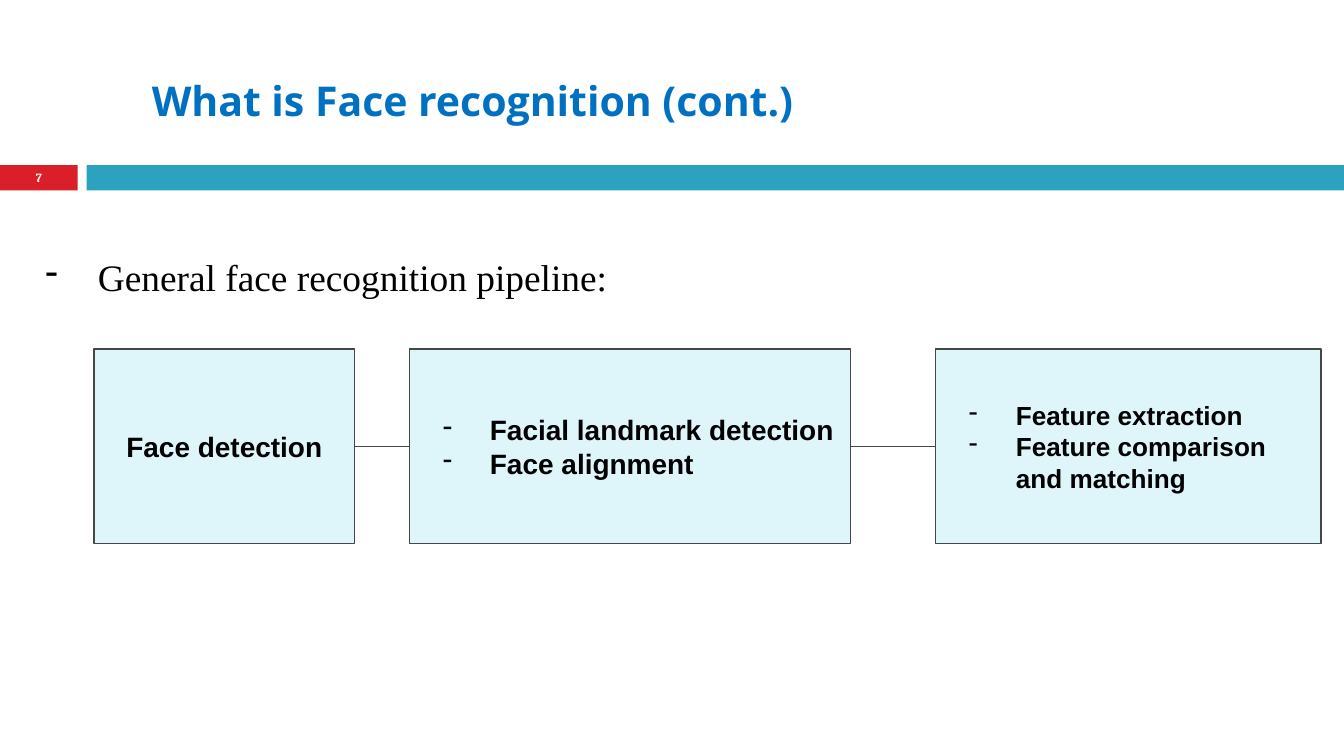
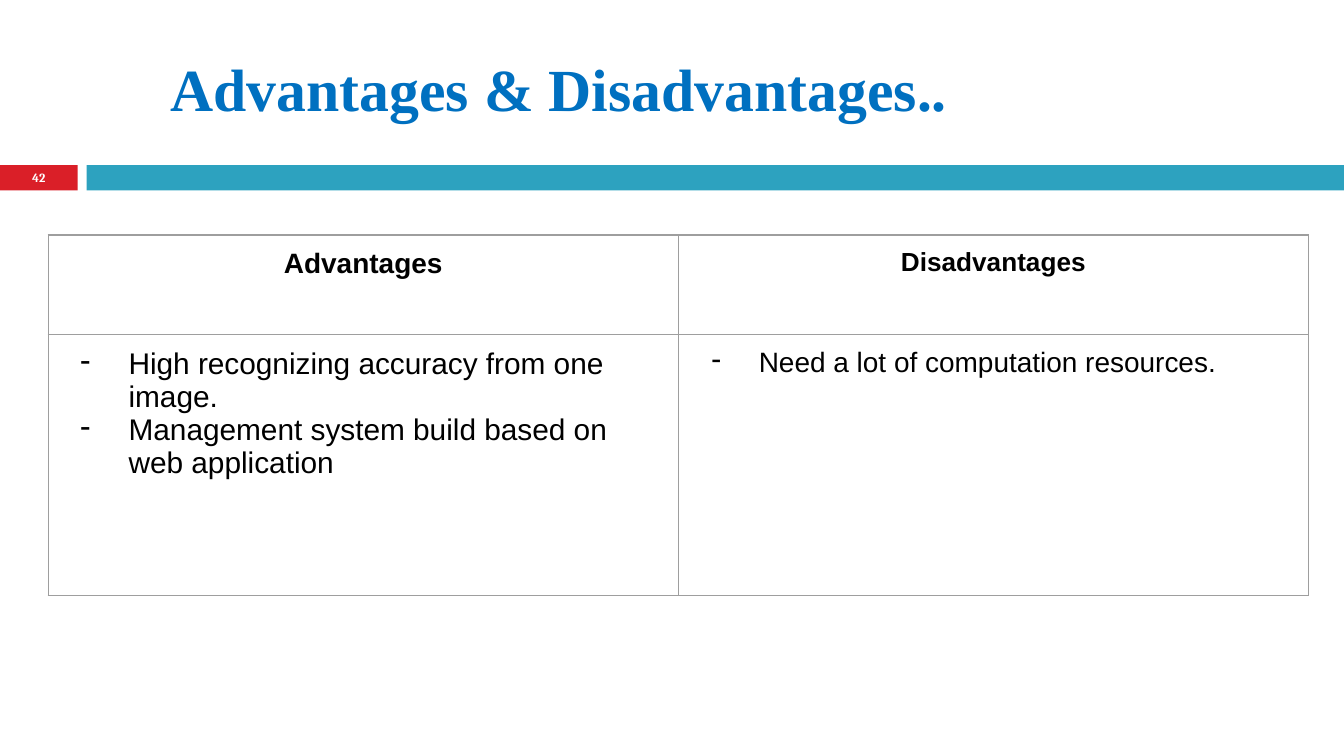
from collections.abc import Sequence
from dataclasses import dataclass, field
from itertools import pairwise
from typing import Any

import lxml.etree
import pptx
import pptx.dml.color
import pptx.enum.shapes
import pptx.enum.text
import pptx.oxml.ns
import pptx.presentation
import pptx.shapes.autoshape
import pptx.shapes.connector
import pptx.slide
import pptx.table
import pptx.text.text
import pptx.util

Cm = pptx.util.Cm
Pt = pptx.util.Pt
RGB = pptx.dml.color.RGBColor
Align = pptx.enum.text.PP_ALIGN
Anchor = pptx.enum.text.MSO_ANCHOR
AutoSize = pptx.enum.text.MSO_AUTO_SIZE
qn = pptx.oxml.ns.qn


@dataclass(frozen=True)
class Theme:
    red: RGB = RGB(0xDA, 0x1F, 0x28)
    teal: RGB = RGB(0x2D, 0xA2, 0xBF)
    blue: RGB = RGB(0x00, 0x70, 0xC0)
    pale: RGB = RGB(0xDE, 0xF5, 0xFA)
    outline: RGB = RGB(0x46, 0x46, 0x46)
    grid: RGB = RGB(0x9E, 0x9E, 0x9E)
    ink: RGB = RGB(0, 0, 0)
    white: RGB = RGB(0xFF, 0xFF, 0xFF)
    sans: str = "Arial"
    serif: str = "Times New Roman"
    heading: str = "Open Sans"
    numeral: str = "Cambria"
    number_size: float = 6.7
    small: float = 14
    medium: float = 15
    large: float = 16
    lead: float = 20
    title: float = 22
    big_title: float = 32
    rule: float = 0.75


THEME = Theme()
TIGHT = {"margin_left": Cm(0.25), "margin_right": Cm(0.25),
         "margin_top": Cm(0.13), "margin_bottom": Cm(0.13)}
ROOMY = TIGHT | {"margin_top": Cm(0.25), "margin_bottom": Cm(0.25)}
INDENT = 1.27


@dataclass(frozen=True)
class Box:
    """Position and size in centimetres."""
    left: float
    top: float
    width: float
    height: float

    def lengths(self) -> list[pptx.util.Length]:
        return [Cm(v) for v in (self.left, self.top, self.width, self.height)]


@dataclass(frozen=True)
class Line:
    """One paragraph; hang is the width of its dash column in centimetres."""
    text: str
    size: float
    bold: bool = False
    font: str = THEME.sans
    color: RGB = THEME.ink
    align: Align = Align.LEFT
    hang: float = 0
    spacing: dict[str, Any] = field(default_factory=dict)


@dataclass(frozen=True)
class Stage:
    left: float
    width: float
    lines: tuple[Line, ...]


RED_BAND = Box(0, 3.12, 1.47, 0.48)
TEAL_BAND = Box(1.64, 3.12, 23.76, 0.48)
NUMBER_BOX = Box(0, 3.12, 1.47, 0.51)


def apply(target: Any, values: dict[str, Any]) -> None:
    for name, value in values.items():
        setattr(target, name, value)


def add_dash(paragraph: pptx.text.text._Paragraph, hang: float) -> None:
    props = paragraph._p.get_or_add_pPr()
    props.set("marL", str(Cm(INDENT)))
    props.set("indent", str(-Cm(hang)))
    tint = lxml.etree.SubElement(props, qn("a:buClr"))
    lxml.etree.SubElement(tint, qn("a:srgbClr"), val=str(THEME.ink))
    lxml.etree.SubElement(props, qn("a:buChar"), char="-")


def write(frame: pptx.text.text.TextFrame, lines: Sequence[Line]) -> None:
    for index, line in enumerate(lines):
        paragraph = frame.add_paragraph() if index else frame.paragraphs[0]
        apply(paragraph, {"alignment": line.align} | line.spacing)
        if line.hang:
            add_dash(paragraph, line.hang)
        run = paragraph.add_run()
        run.text = line.text
        apply(run.font, {"name": line.font, "size": Pt(line.size), "bold": line.bold})
        run.font.color.rgb = line.color


def add_rectangle(slide: pptx.slide.Slide, box: Box, fill: RGB,
                  outline: RGB | None = None) -> pptx.shapes.autoshape.Shape:
    rectangle = slide.shapes.add_shape(
        pptx.enum.shapes.MSO_SHAPE.RECTANGLE, *box.lengths())
    rectangle.shadow.inherit = False
    rectangle.fill.solid()
    rectangle.fill.fore_color.rgb = fill
    if outline is None:
        rectangle.line.fill.background()
    else:
        rectangle.line.color.rgb = outline
        rectangle.line.width = Pt(THEME.rule)
    return rectangle


def add_text(slide: pptx.slide.Slide, box: Box, line: Line, layout: dict[str, Any]) -> None:
    frame = slide.shapes.add_textbox(*box.lengths()).text_frame
    apply(frame, {"word_wrap": True} | layout)
    write(frame, [line])


def start_slide(deck: pptx.presentation.Presentation, number: str, number_spacing: float,
                title: Line, title_box: Box, anchor: Anchor) -> pptx.slide.Slide:
    """Add a slide with its bands, page number and title."""
    slide = deck.slides.add_slide(deck.slide_layouts.get_by_name("Title Only"))
    add_rectangle(slide, RED_BAND, THEME.red)
    add_rectangle(slide, TEAL_BAND, THEME.teal)
    add_text(slide, NUMBER_BOX,
             Line(number, THEME.number_size, True, THEME.numeral, THEME.white,
                  Align.CENTER, spacing={"line_spacing": number_spacing}),
             TIGHT | {"vertical_anchor": Anchor.MIDDLE})
    heading = slide.shapes.title
    apply(heading, dict(zip(("left", "top", "width", "height"), title_box.lengths())))
    apply(heading.text_frame, TIGHT | {"vertical_anchor": anchor, "word_wrap": True,
                                       "auto_size": AutoSize.NONE})
    write(heading.text_frame, [title])
    return slide


def add_stage(slide: pptx.slide.Slide, stage: Stage) -> pptx.shapes.autoshape.Shape:
    rectangle = add_rectangle(slide, Box(stage.left, 6.6, stage.width, 3.68),
                              THEME.pale, THEME.outline)
    apply(rectangle.text_frame, ROOMY | {"vertical_anchor": Anchor.MIDDLE, "word_wrap": True})
    write(rectangle.text_frame, stage.lines)
    return rectangle


def join(slide: pptx.slide.Slide, before: pptx.shapes.autoshape.Shape,
         after: pptx.shapes.autoshape.Shape) -> None:
    link = slide.shapes.add_connector(pptx.enum.shapes.MSO_CONNECTOR.STRAIGHT, 0, 0, 0, 0)
    link.begin_connect(before, 3)
    link.end_connect(after, 1)
    link.line.color.rgb = THEME.outline
    link.line.width = Pt(THEME.rule)
    lxml.etree.SubElement(link._element.spPr, qn("a:effectLst"))


def add_borders(cell: pptx.table._Cell) -> None:
    props = cell._tc.get_or_add_tcPr()
    for index, side in enumerate(("lnL", "lnR", "lnT", "lnB")):
        edge = lxml.etree.SubElement(props, qn(f"a:{side}"), w=str(Pt(THEME.rule)))
        fill = lxml.etree.SubElement(edge, qn("a:solidFill"))
        lxml.etree.SubElement(fill, qn("a:srgbClr"), val=str(THEME.grid))
        props.insert(index, edge)


def add_comparison(slide: pptx.slide.Slide, box: Box, row_heights: Sequence[float],
                   rows: Sequence[Sequence[Sequence[Line]]]) -> None:
    table = slide.shapes.add_table(len(rows), len(rows[0]), *box.lengths()).table
    apply(table, {"first_row": False, "horz_banding": False})
    for row, height, contents in zip(table.rows, row_heights, rows):
        row.height = Cm(height)
        for cell, lines in zip(row.cells, contents):
            apply(cell, ROOMY | {"vertical_anchor": Anchor.TOP})
            cell.fill.background()
            add_borders(cell)
            write(cell.text_frame, lines)


def build_pipeline(deck: pptx.presentation.Presentation) -> None:
    title = Line("What is Face recognition (cont.)", THEME.title, True, THEME.heading,
                 THEME.blue, Align.CENTER,
                 spacing={"line_spacing": 1.5, "space_before": Pt(12), "space_after": Pt(6)})
    slide = start_slide(deck, "7", 0.9, title, Box(1.63, 0.84, 14.6, 1.7), Anchor.TOP)
    add_text(slide, Box(0.33, 4.14, 24.71, 1.37),
             Line("General face recognition pipeline:", THEME.lead, font=THEME.serif,
                  align=Align.JUSTIFY, hang=0.99,
                  spacing={"line_spacing": 1.5, "space_before": Pt(12)}),
             ROOMY | {"auto_size": AutoSize.SHAPE_TO_FIT_TEXT})
    stages = (
        Stage(1.78, 4.92, (
            Line("Face detection", THEME.medium, True, align=Align.CENTER),)),
        Stage(7.74, 8.33, (
            Line("Facial landmark detection", THEME.medium, True, hang=0.89),
            Line("Face alignment", THEME.medium, True, hang=0.89))),
        Stage(17.68, 7.29, (
            Line("Feature extraction", THEME.small, True, hang=0.89),
            Line("Feature comparison and matching", THEME.small, True, hang=0.89))),
    )
    rectangles = [add_stage(slide, stage) for stage in stages]
    for before, after in pairwise(rectangles):
        join(slide, before, after)


def build_comparison(deck: pptx.presentation.Presentation) -> None:
    title = Line("Advantages & Disadvantages..", THEME.big_title, True, THEME.serif, THEME.blue)
    slide = start_slide(deck, "42", 0.8, title, Box(2.97, 0.76, 16.51, 1.7), Anchor.BOTTOM)
    rows = (
        ((Line("Advantages", THEME.medium, True, align=Align.CENTER),),
         (Line("Disadvantages", THEME.small, True, align=Align.CENTER),)),
        ((Line("High recognizing accuracy from one image.", THEME.large, hang=0.91),
          Line("Management system build based on web application", THEME.large, hang=0.91)),
         (Line("Need a lot of computation resources.", THEME.medium, hang=0.89),)),
    )
    add_comparison(slide, Box(0.91, 4.44, 23.82, 6.81), (1.88, 4.93), rows)


def main() -> None:
    deck = pptx.Presentation()
    apply(deck, {"slide_width": Cm(25.4), "slide_height": Cm(14.29)})
    build_pipeline(deck)
    build_comparison(deck)
    deck.save("out.pptx")


if __name__ == "__main__":
    main()
